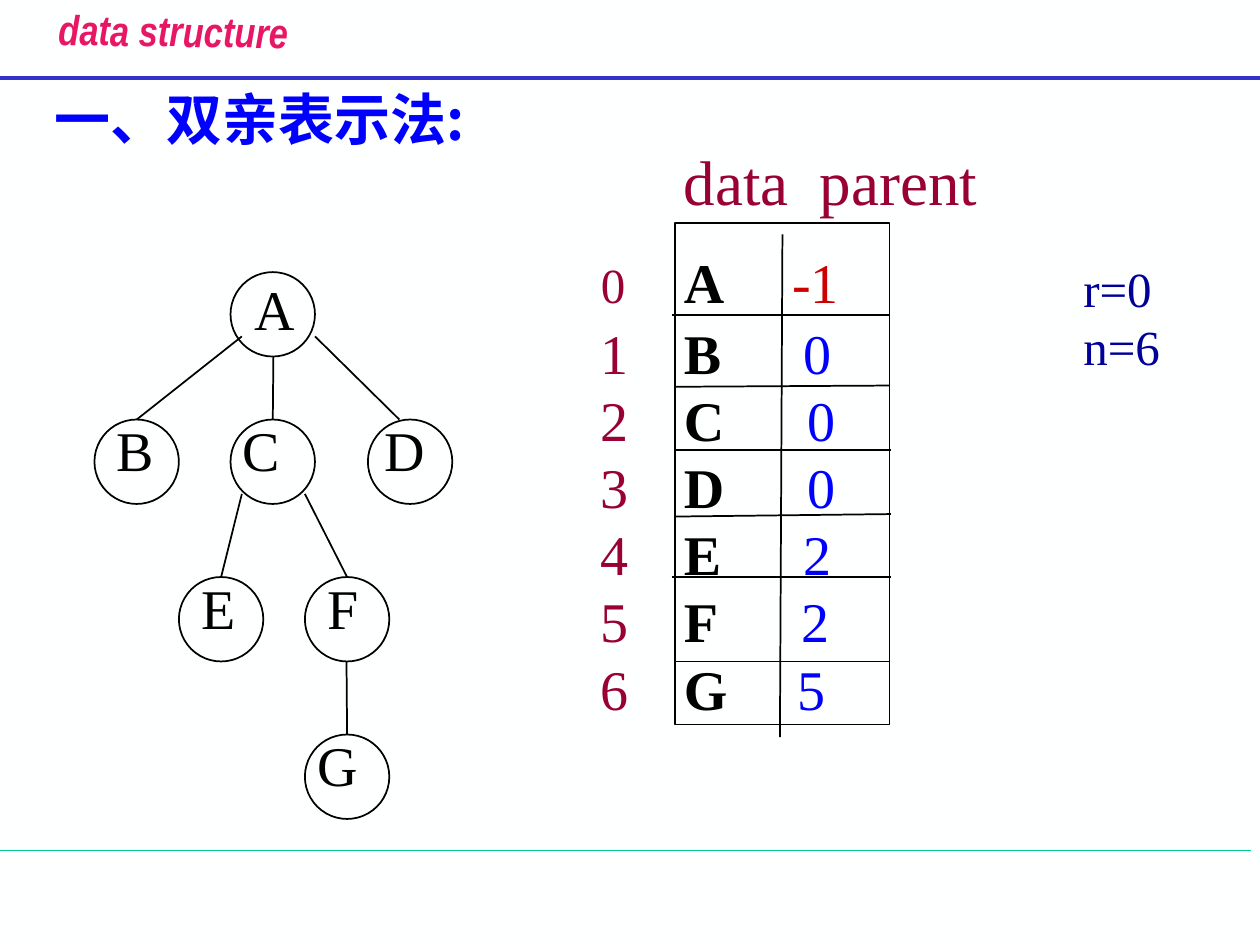
import pptx
import pptx.util
import pptx.dml.color
import pptx.enum.shapes
import pptx.enum.text
import pptx.oxml
import pptx.oxml.ns

Inches = pptx.util.Inches
Pt = pptx.util.Pt

COLORS = {
    "background": "FEFFFF", "black": "000000", "header": "E81766", "rule": "3333CC",
    "footer": "00CC99", "blue": "0000FF", "index": "990033", "root": "CC0000", "note": "000099",
}
SERIF = "Times New Roman"
CJK = "Noto Sans CJK SC"
BODY = {"name": SERIF, "size": Pt(32), "color": "black"}
DATA = {**BODY, "bold": True}
INDEX = {**BODY, "color": "index"}
VALUE = {**BODY, "color": "blue"}
ROOT = {**BODY, "color": "root"}
NOTE = {**BODY, "size": Pt(28), "color": "note"}
HEADING = {**INDEX, "size": Pt(36)}
TITLE = {"name": CJK, "size": Pt(32), "bold": True, "color": "blue"}
HEADER = {"name": "Arial Narrow", "size": Pt(24), "bold": True, "italic": True, "color": "header"}

NODE_SIZE = 0.67
NODES = {
    "A": (1.83, 2.16, 1.92, 2.13),
    "B": (0.75, 3.33, 0.83, 3.25),
    "C": (1.83, 3.33, 1.83, 3.25),
    "D": (2.92, 3.33, 2.95, 3.25),
    "E": (1.42, 4.58, 1.5, 4.5),
    "F": (2.42, 4.58, 2.5, 4.5),
    "G": (2.42, 5.83, 2.42, 5.75),
}
EDGES = [
    ((1.92, 2.67), (1.08, 3.33), "B"),
    ((2.17, 2.83), (2.17, 3.33), "C"),
    ((2.5, 2.67), (3.17, 3.33), None),
    ((1.92, 3.92), (1.75, 4.58), "E"),
    ((2.42, 3.92), (2.75, 4.58), "F"),
    ((2.75, 5.25), (2.75, 5.83), "G"),
]
ROWS = [
    ("A", "-1", 1.52), ("B", "0", 1.61), ("C", "0", 1.64), ("D", "0", 1.64),
    ("E", "2", 1.61), ("F", "2", 1.59), ("G", "5", 1.56),
]
ARRAY_LINES = [
    ((5.33, 2.5), (7.06, 2.5)), ((5.36, 3.07), (7.06, 3.06)), ((5.36, 3.57), (7.07, 3.57)),
    ((5.36, 4.1), (7.07, 4.08)), ((5.33, 4.58), (7.07, 4.58)), ((5.36, 5.25), (7.06, 5.25)),
    ((6.21, 1.86), (6.19, 5.85)),
]


def rgb(color):
    return pptx.dml.color.RGBColor.from_string(COLORS[color])


def add_run(paragraph, text, style):
    run = paragraph.add_run()
    run.text = text
    for name, value in style.items():
        if name == "color":
            run.font.color.rgb = rgb(value)
        else:
            setattr(run.font, name, value)


def add_tabs(paragraph, positions):
    properties = paragraph._p.get_or_add_pPr()
    tabs = pptx.oxml.parse_xml(f"<a:tabLst {pptx.oxml.ns.nsdecls('a')}/>")
    for position in positions:
        tab = tabs.makeelement(pptx.oxml.ns.qn("a:tab"), {"pos": str(Inches(position)), "algn": "l"})
        tabs.append(tab)
    properties.append(tabs)


def add_text(slide, box, lines):
    text_box = slide.shapes.add_textbox(*map(Inches, box))
    frame = text_box.text_frame
    frame.word_wrap = True
    for number, (runs, tabs) in enumerate(lines):
        paragraph = frame.add_paragraph() if number else frame.paragraphs[0]
        if tabs:
            add_tabs(paragraph, tabs)
        for text, style in runs:
            add_run(paragraph, text, style)
    return text_box


def add_line(slide, start, end, color="black", width=1):
    line = slide.shapes.add_connector(
        pptx.enum.shapes.MSO_CONNECTOR.STRAIGHT, *map(Inches, start + end))
    line.line.color.rgb = rgb(color)
    line.line.width = Pt(width)
    line._element.spPr.append(pptx.oxml.parse_xml(f"<a:effectLst {pptx.oxml.ns.nsdecls('a')}/>"))
    return line


def add_outline(slide, kind, box):
    shape = slide.shapes.add_shape(kind, *map(Inches, box))
    shape.shadow.inherit = False
    shape.fill.background()
    shape.line.color.rgb = rgb("black")
    shape.line.width = Pt(1)
    return shape


def add_title(slide):
    title = slide.shapes.title
    place = {"left": 0.33, "top": 0.62, "width": 4, "height": 0.64}
    for name, value in place.items():
        setattr(title, name, Inches(value))
    frame = title.text_frame
    settings = {
        "word_wrap": False,
        "auto_size": pptx.enum.text.MSO_AUTO_SIZE.NONE,
        "vertical_anchor": pptx.enum.text.MSO_ANCHOR.TOP,
    }
    for name, value in settings.items():
        setattr(frame, name, value)
    paragraph = frame.paragraphs[0]
    paragraph.alignment = pptx.enum.text.PP_ALIGN.LEFT
    add_run(paragraph, "一、双亲表示法:", TITLE)
    east_asian = pptx.oxml.parse_xml(f'<a:ea {pptx.oxml.ns.nsdecls("a")} typeface="{CJK}"/>')
    paragraph.runs[0]._r.get_or_add_rPr().append(east_asian)


def add_tree(slide):
    shapes = pptx.enum.shapes.MSO_SHAPE
    circles = {}
    for letter, (left, top, label_left, label_top) in NODES.items():
        circles[letter] = add_outline(slide, shapes.OVAL, (left, top, NODE_SIZE, NODE_SIZE))
        add_text(slide, (label_left, label_top, 0.6, 0.64), [([(letter, BODY)], ())])
    for start, end, child in EDGES:
        edge = add_line(slide, start, end)
        if child:
            edge.end_connect(circles[child], 0)


def add_array(slide):
    lines = []
    for number, (letter, parent, value_tab) in enumerate(ROWS):
        index_style = INDEX if number else {**INDEX, "size": Pt(28)}
        value_style = VALUE if number else ROOT
        runs = [(f"{number}\t", index_style), (f"{letter}\t", DATA), (parent, value_style)]
        lines.append((runs, (0.66, value_tab)))
    table_text = add_text(slide, (4.67, 1.92, 2.4, 3.9), lines)
    for paragraph in table_text.text_frame.paragraphs:
        paragraph.line_spacing = Pt(38.3)
    table_text.text_frame.paragraphs[0].space_after = Pt(2.3)
    add_outline(slide, pptx.enum.shapes.MSO_SHAPE.RECTANGLE, (5.36, 1.77, 1.7, 3.98))
    for start, end in ARRAY_LINES:
        add_line(slide, start, end)
    add_text(slide, (5.33, 1.08, 2.73, 0.7), [([("data\tparent", HEADING)], (1.08,))])
    add_text(slide, (8.5, 2, 1, 1.04), [([(text, NOTE)], ()) for text in ("r=0", "n=6")])


def main():
    presentation = pptx.Presentation()
    presentation.slide_width = Inches(10)
    presentation.slide_height = Inches(7.5)
    slide = presentation.slides.add_slide(presentation.slide_layouts[5])
    slide.background.fill.solid()
    slide.background.fill.fore_color.rgb = rgb("background")
    add_line(slide, (-0.07, 6.75), (9.93, 6.75), "footer", 0.75)
    add_line(slide, (0, 0.62), (10, 0.62), "rule", 2.25)
    header = add_text(slide, (0.23, -0.01, 2.29, 0.54), [([("data structure", HEADER)], ())])
    header.rotation = 0.8
    header.text_frame.paragraphs[0].alignment = pptx.enum.text.PP_ALIGN.CENTER
    add_title(slide)
    add_tree(slide)
    add_array(slide)
    presentation.save("out.pptx")


if __name__ == "__main__":
    main()
